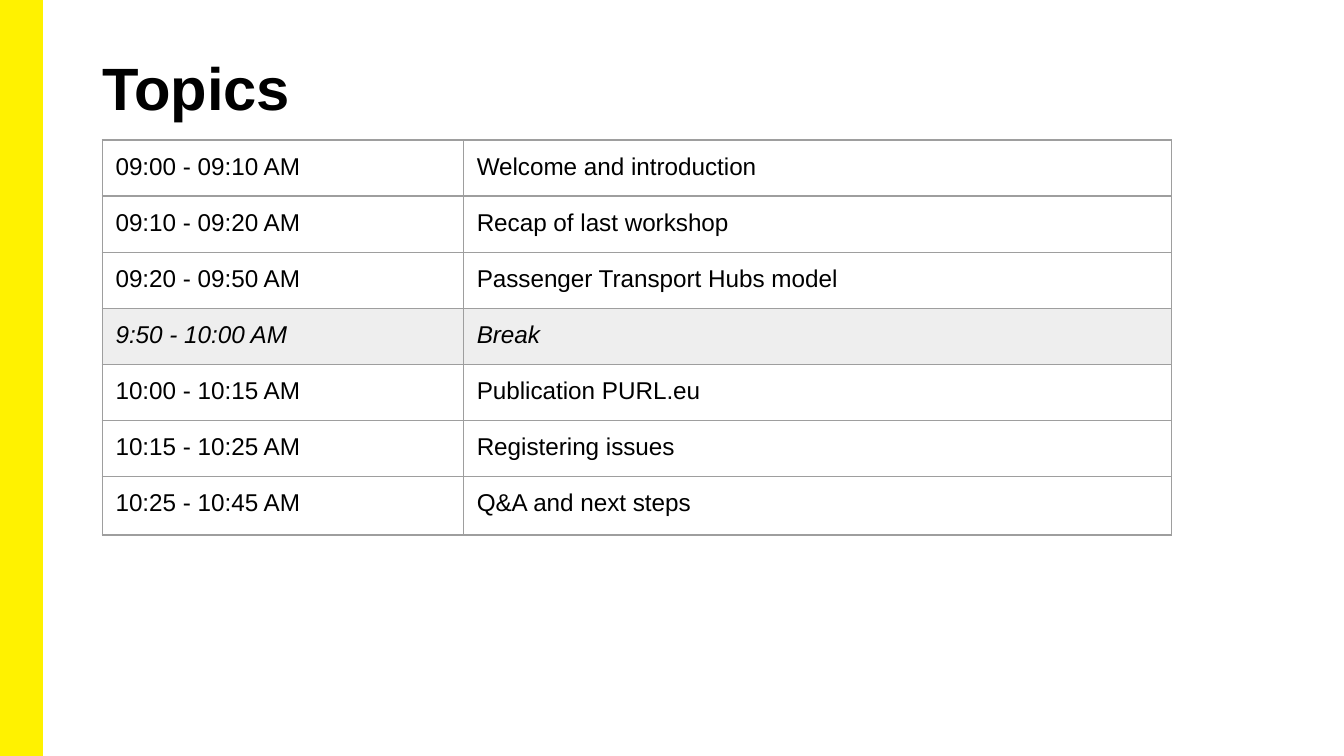
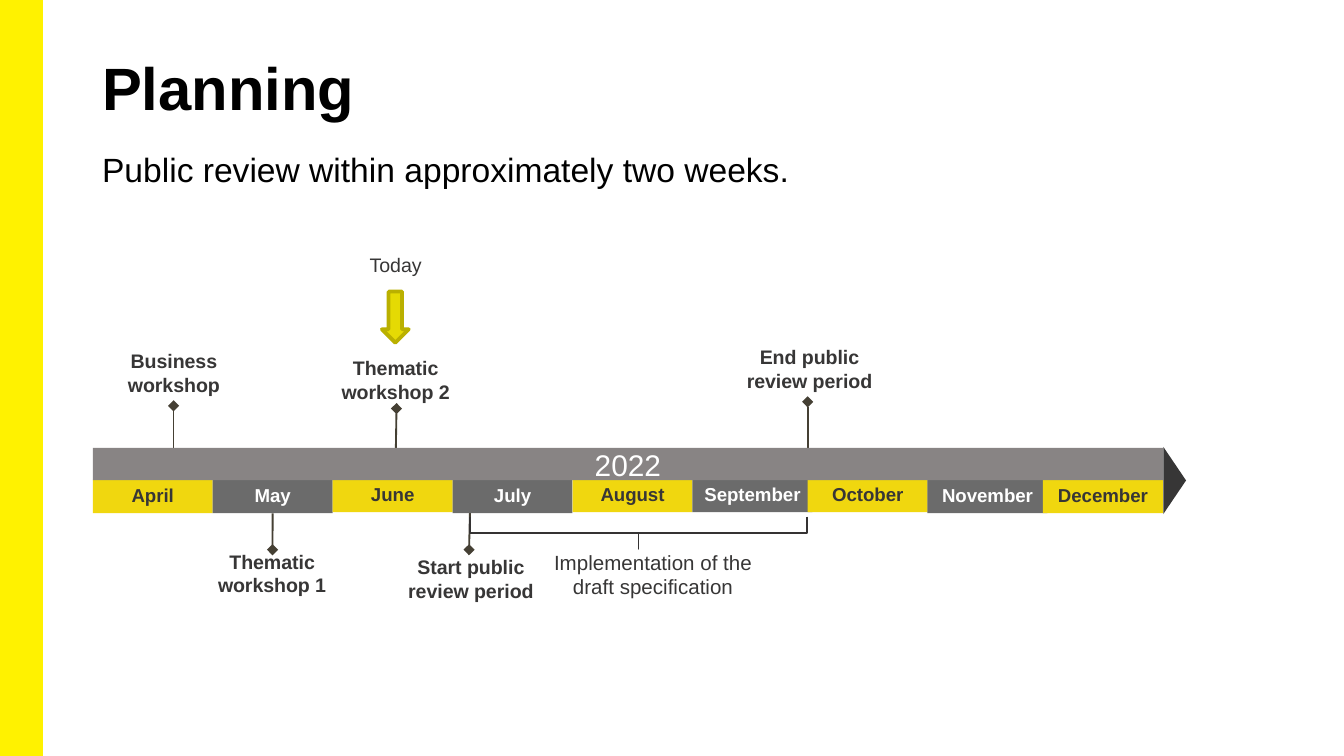
import dataclasses

import pptx
import pptx.dml.color
import pptx.enum.shapes
import pptx.enum.text
import pptx.oxml
import pptx.oxml.ns
import pptx.util

Pt = pptx.util.Pt
Shape = pptx.enum.shapes.MSO_SHAPE
Anchor = pptx.enum.text.MSO_ANCHOR
Align = pptx.enum.text.PP_ALIGN


@dataclasses.dataclass(frozen=True)
class Theme:
    font: str = "Arial"
    black: str = "000000"
    white: str = "FFFFFF"
    band: str = "FFF200"
    ink: str = "373636"
    stem: str = "454034"
    brace: str = "353333"
    year: str = "888484"
    month_yellow: str = "F0D70F"
    month_gray: str = "6B6B6B"
    arrow: str = "E5DA04"
    arrow_edge: str = "BAB000"
    grid: str = "9E9E9E"
    break_row: str = "EEEEEE"
    title_size: float = 32
    body_size: float = 18
    year_size: float = 16
    table_size: float = 13
    note_size: float = 11
    label_size: float = 10.5
    month_size: float = 10


THEME = Theme()
SLIDE_WIDTH, SLIDE_HEIGHT = 720, 405
HEADING_INSETS = (5, 2.7, 5, 2.7)
HEADING_SPACING = 1.08

TOPICS = [
    ("09:00 - 09:10 AM", "Welcome and introduction"),
    ("09:10 - 09:20 AM", "Recap of last workshop"),
    ("09:20 - 09:50 AM", "Passenger Transport Hubs model"),
    ("9:50 - 10:00 AM", "Break"),
    ("10:00 - 10:15 AM", "Publication PURL.eu"),
    ("10:15 - 10:25 AM", "Registering issues"),
    ("10:25 - 10:45 AM", "Q&A and next steps"),
]
TABLE_LEFT, TABLE_TOP = 54.7, 75
COLUMN_WIDTHS = (193.5, 379.5)
ROW_HEIGHT, LAST_ROW_HEIGHT = 30, 31.3

PLAN_NOTE = "Public review within approximately two weeks."
BAR_LEFT, BAR_TOP, BAR_WIDTH, BAR_HEIGHT = 49.7, 240, 573.3, 17.3
MONTH_PITCH, MONTH_TOP, MONTH_HEIGHT = 64.25, 257, 18
MONTHS = [
    ("April", 0, 0),
    ("May", 0, 0),
    ("June", 0, -0.6),
    ("July", 0, 0),
    ("August", 0, -0.6),
    ("September", 0, -0.6),
    ("October", -2.5, -0.6),
    ("November", -2.6, 0),
    ("December", -5, 0),
]
LABEL_WIDTH, LABEL_HEIGHT = 87, 30
LABELS = [
    ("Business workshop", 49.7, 187.2, True),
    ("Thematic workshop 1", 102.3, 294.5, True),
    ("Thematic workshop 2", 168.5, 190.8, True),
    ("Start public review period", 208.8, 297.4, True),
    ("End public review period", 390.2, 185, True),
    ("Today", 168.5, 135.4, False),
]
STEMS = [
    ((212.4, 218.9), (211.7, 262.8), "head"),
    ((252, 264.2), (251.3, 294.5), "tail"),
    ((93, 217.4), (93, 250.6), "head"),
    ((432.7, 215.3), (432.7, 252.7), "head"),
]
MAY_STEM_END = (146, 294.5)


def color(value):
    return pptx.dml.color.RGBColor.from_string(value)


def apply(target, values):
    for name, value in values.items():
        setattr(target, name, value)


def write(frame, text, size, ink, bold=False, italic=False, align=Align.LEFT,
          anchor=Anchor.TOP, insets=(0, 0, 0, 0), spacing=1.0):
    sides = ("margin_left", "margin_top", "margin_right", "margin_bottom")
    apply(frame, dict(zip(sides, map(Pt, insets))))
    apply(frame, {"word_wrap": True, "vertical_anchor": anchor})
    para = frame.paragraphs[0]
    apply(para, {"alignment": align, "line_spacing": spacing})
    span = para.add_run()
    span.text = text
    apply(span.font, {"name": THEME.font, "size": Pt(size), "bold": bold, "italic": italic})
    span.font.color.rgb = color(ink)


def add_text(page, at, text, size, ink, **options):
    box = page.shapes.add_textbox(*map(Pt, at))
    write(box.text_frame, text, size, ink, **options)


def add_block(page, kind, at, fill=None, line=None, weight=1.0):
    block = page.shapes.add_shape(kind, *map(Pt, at))
    block.shadow.inherit = False
    if fill:
        block.fill.solid()
        block.fill.fore_color.rgb = color(fill)
    else:
        block.fill.background()
    if line:
        block.line.color.rgb = color(line)
        block.line.width = Pt(weight)
    else:
        block.line.fill.background()
    return block


def add_stem(page, start, end, marker):
    stem = page.shapes.add_connector(
        pptx.enum.shapes.MSO_CONNECTOR.STRAIGHT, *map(Pt, start + end))
    stem.line.color.rgb = color(THEME.stem)
    stem.line.width = Pt(1)
    outline = stem.line._get_or_add_ln()
    outline.append(pptx.oxml.parse_xml(
        f'<a:{marker}End {pptx.oxml.ns.nsdecls("a")} type="diamond"/>'))
    stem._element.spPr.append(pptx.oxml.parse_xml(
        f'<a:effectLst {pptx.oxml.ns.nsdecls("a")}/>'))
    return stem


def add_page(deck, title):
    page = deck.slides.add_slide(deck.slide_layouts[6])
    add_block(page, Shape.RECTANGLE, (0, 0, 22.5, SLIDE_HEIGHT), THEME.band, THEME.band)
    add_text(page, (49.7, 21.6, 620.6, 58.3), title, THEME.title_size, THEME.black,
             bold=True, insets=HEADING_INSETS, spacing=HEADING_SPACING)
    return page


def border_cell(cell):
    properties = cell._tc.get_or_add_tcPr()
    for side in "LRTB":
        properties.append(pptx.oxml.parse_xml(
            f'<a:ln{side} {pptx.oxml.ns.nsdecls("a")} w="{Pt(0.75)}">'
            f'<a:solidFill><a:srgbClr val="{THEME.grid}"/></a:solidFill></a:ln{side}>'))


def build_topics(deck):
    page = add_page(deck, "Topics")
    heights = [ROW_HEIGHT] * (len(TOPICS) - 1) + [LAST_ROW_HEIGHT]
    at = (TABLE_LEFT, TABLE_TOP, sum(COLUMN_WIDTHS), sum(heights))
    table = page.shapes.add_table(len(TOPICS), len(COLUMN_WIDTHS), *map(Pt, at)).table
    apply(table, {"first_row": False, "horz_banding": False})
    for column, width in zip(table.columns, COLUMN_WIDTHS):
        column.width = Pt(width)
    for row, height, texts in zip(table.rows, heights, TOPICS):
        row.height = Pt(height)
        is_break = texts[1] == "Break"
        for cell, text in zip(row.cells, texts):
            write(cell.text_frame, text, THEME.table_size, THEME.black, italic=is_break)
            sides = ("margin_left", "margin_top", "margin_right", "margin_bottom")
            apply(cell, dict.fromkeys(sides, Pt(7.2)))
            border_cell(cell)
            if is_break:
                cell.fill.solid()
                cell.fill.fore_color.rgb = color(THEME.break_row)
            else:
                cell.fill.background()


def add_months(page):
    blocks = {}
    for index, (name, shift, rise) in enumerate(MONTHS):
        fill, ink = ((THEME.month_gray, THEME.white) if index % 2
                     else (THEME.month_yellow, THEME.ink))
        at = (BAR_LEFT + index * MONTH_PITCH + shift, MONTH_TOP + rise,
              MONTH_PITCH, MONTH_HEIGHT)
        block = add_block(page, Shape.RECTANGLE, at, fill)
        write(block.text_frame, name, THEME.month_size, ink, bold=True,
              align=Align.CENTER, anchor=Anchor.MIDDLE, insets=(5.7, 5.7, 5.7, 7.2))
        blocks[name] = block
    return blocks


def build_planning(deck):
    page = add_page(deck, "Planning")
    add_text(page, (49.7, 75.6, 620.6, 77), PLAN_NOTE, THEME.body_size, THEME.black,
             insets=HEADING_INSETS, spacing=HEADING_SPACING)
    for start, end, marker in STEMS:
        add_stem(page, start, end, marker)
    tip = add_block(page, Shape.ISOSCELES_TRIANGLE, (611.3, 251.3, 36, 12.2), THEME.ink)
    tip.rotation = 90
    months = add_months(page)
    may_stem = add_stem(page, (MAY_STEM_END[0], MONTH_TOP + MONTH_HEIGHT),
                        MAY_STEM_END, "tail")
    may_stem.begin_connect(months["May"], 2)
    for text, left, top, bold in LABELS:
        add_text(page, (left, top, LABEL_WIDTH, LABEL_HEIGHT), text, THEME.label_size,
                 THEME.ink, bold=bold, align=Align.CENTER)
    brace = add_block(page, Shape.LEFT_BRACE, (333.4, 195.1, 17.3, 180.7),
                      line=THEME.brace, weight=0.75)
    brace.rotation = 270
    brace.adjustments[0] = 0
    brace.adjustments[1] = 0.5
    add_text(page, (285.1, 294.5, 129.6, LABEL_HEIGHT),
             "Implementation of the draft specification", THEME.note_size, THEME.ink,
             align=Align.CENTER)
    year = add_block(page, Shape.RECTANGLE, (BAR_LEFT, BAR_TOP, BAR_WIDTH, BAR_HEIGHT),
                     THEME.year)
    write(year.text_frame, "2022", THEME.year_size, THEME.white, align=Align.CENTER,
          anchor=Anchor.MIDDLE, insets=(7.2, 3.6, 7.2, 3.6))
    add_block(page, Shape.DOWN_ARROW, (204.6, 156.2, 14.4, 27.4), THEME.arrow,
              THEME.arrow_edge, 2)


def main():
    deck = pptx.Presentation()
    apply(deck, {"slide_width": Pt(SLIDE_WIDTH), "slide_height": Pt(SLIDE_HEIGHT)})
    build_topics(deck)
    build_planning(deck)
    deck.save("out.pptx")


if __name__ == "__main__":
    main()
